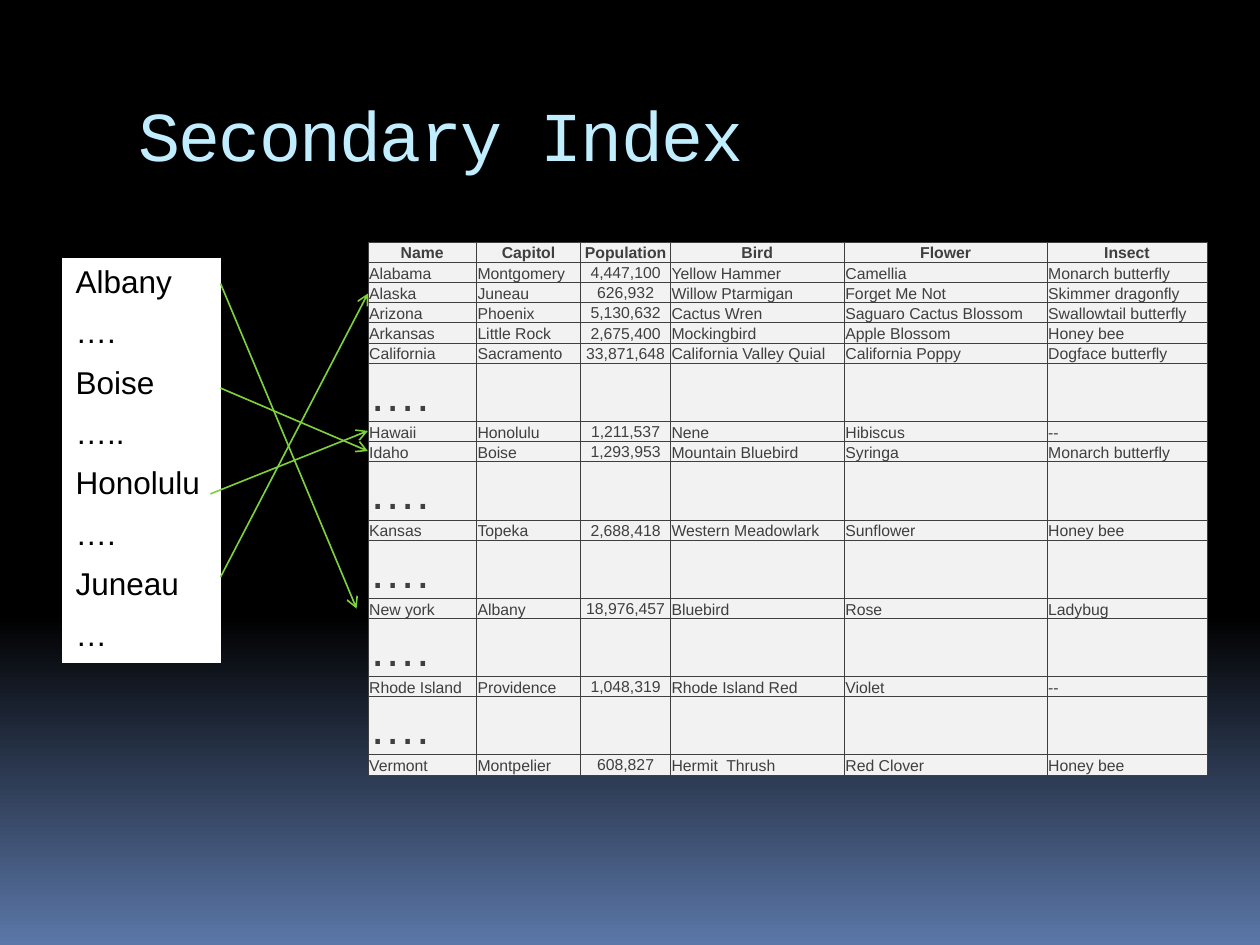
from copy import deepcopy

from lxml.etree import SubElement
from pptx import Presentation
from pptx.dml.color import RGBColor
from pptx.enum.shapes import MSO_CONNECTOR
from pptx.enum.text import MSO_ANCHOR, PP_ALIGN
from pptx.oxml.ns import qn
from pptx.util import Inches, Pt

COLORS = {
    "black": "000000",
    "blue": "5B77A8",
    "title": "C1EEFF",
    "white": "FFFFFF",
    "cell": "F2F2F2",
    "ink": "3F3F3F",
    "green": "7FD13B",
}


def color(name):
    return RGBColor.from_string(COLORS[name])


def add_text(paragraph, text, size, color_name, font="Arial", bold=False):
    run = paragraph.add_run()
    run.text = text
    run.font.name = font
    run.font.size = Pt(size)
    run.font.bold = bold
    run.font.color.rgb = color(color_name)
    return run


presentation = Presentation()
presentation.slide_width = Inches(10)
presentation.slide_height = Inches(7.5)
slide = presentation.slides.add_slide(presentation.slide_layouts[6])

background = slide.background.fill
background.gradient()
background.gradient_angle = 270
stop_list = background._fill._gradFill.find(qn("a:gsLst"))
stop_list.insert(0, deepcopy(stop_list[0]))
stops = [(0, "black"), (0.65, "black"), (1, "blue")]
for stop, (position, name) in zip(background.gradient_stops, stops):
    stop.position = position
    stop.color.rgb = color(name)

title = slide.shapes.add_textbox(Inches(1), Inches(0.56), Inches(8.5), Inches(1))
title.text_frame.word_wrap = True
title.text_frame.vertical_anchor = MSO_ANCHOR.MIDDLE
title_run = add_text(title.text_frame.paragraphs[0], "Secondary Index", 40, "title", "Courier New")
title_run.font._element.set("spc", "-100")

index_entries = ["Albany", "….", "Boise", "…..", "Honolulu", "….", "Juneau", "…"]
index_table = slide.shapes.add_table(
    len(index_entries), 1, Inches(0.5), Inches(2.05), Inches(1.25), Inches(0.29 * len(index_entries))
).table
index_table.first_row = False
index_table.horz_banding = False
for row, entry in enumerate(index_entries):
    cell = index_table.cell(row, 0)
    cell.fill.solid()
    cell.fill.fore_color.rgb = color("white")
    add_text(cell.text_frame.paragraphs[0], entry, 18, "black")

gap = ["…."]
states = [
    ["Name", "Capitol", "Population", "Bird", "Flower", "Insect"],
    ["Alabama", "Montgomery", "4,447,100", "Yellow Hammer", "Camellia", "Monarch butterfly"],
    ["Alaska", "Juneau", "626,932", "Willow Ptarmigan", "Forget Me Not", "Skimmer dragonfly"],
    ["Arizona", "Phoenix", "5,130,632", "Cactus Wren", "Saguaro Cactus Blossom", "Swallowtail butterfly"],
    ["Arkansas", "Little Rock", "2,675,400", "Mockingbird", "Apple Blossom", "Honey bee"],
    ["California", "Sacramento", "33,871,648", "California Valley Quial", "California Poppy", "Dogface butterfly"],
    gap,
    ["Hawaii", "Honolulu", "1,211,537", "Nene", "Hibiscus", "--"],
    ["Idaho", "Boise", "1,293,953", "Mountain Bluebird", "Syringa", "Monarch butterfly"],
    gap,
    ["Kansas", "Topeka", "2,688,418", "Western Meadowlark", "Sunflower", "Honey bee"],
    gap,
    ["New york", "Albany", "18,976,457", "Bluebird", "Rose", "Ladybug"],
    gap,
    ["Rhode Island", "Providence", "1,048,319", "Rhode Island Red", "Violet", "--"],
    gap,
    ["Vermont", "Montpelier", "608,827", "Hermit  Thrush", "Red Clover", "Honey bee"],
]
column_widths = [0.86, 0.83, 0.71, 1.38, 1.61, 1.27]
population_column = 2
state_table = slide.shapes.add_table(
    len(states), len(column_widths), Inches(2.92), Inches(1.92), Inches(6.67), Inches(4.22)
).table
state_table.first_row = False
state_table.horz_banding = False
for column, width in zip(state_table.columns, column_widths):
    column.width = Inches(width)

for row, values in enumerate(states):
    is_gap = values is gap
    state_table.rows[row].height = Inches(0.45 if is_gap else 0.16)
    for column in range(len(column_widths)):
        cell = state_table.cell(row, column)
        properties = cell._tc.get_or_add_tcPr()
        for side in ("a:lnL", "a:lnR", "a:lnT", "a:lnB"):
            border = SubElement(properties, qn(side), w=str(Pt(0.5)))
            border_fill = SubElement(border, qn("a:solidFill"))
            SubElement(border_fill, qn("a:srgbClr"), val=COLORS["ink"])
        cell.fill.solid()
        cell.fill.fore_color.rgb = color("cell")
        if column >= len(values):
            continue
        cell.margin_left = cell.margin_right = cell.margin_top = Inches(0.01)
        cell.margin_bottom = 0
        is_population = column == population_column
        cell.vertical_anchor = MSO_ANCHOR.MIDDLE if is_population else MSO_ANCHOR.BOTTOM
        paragraph = cell.text_frame.paragraphs[0]
        if row == 0 or is_population:
            paragraph.alignment = PP_ALIGN.CENTER
        add_text(paragraph, values[column], 27 if is_gap else 9, "ink", bold=row == 0)

arrows = [
    (1.75, 2.25, 2.83, 4.83),
    (1.75, 3.08, 2.92, 3.58),
    (1.67, 3.92, 2.92, 3.42),
    (1.75, 4.58, 2.92, 2.33),
]
for ends in arrows:
    arrow = slide.shapes.add_connector(MSO_CONNECTOR.STRAIGHT, *[Inches(value) for value in ends])
    arrow.line.color.rgb = color("green")
    arrow.line.width = Pt(0.94)
    SubElement(arrow.line._get_or_add_ln(), qn("a:tailEnd"), type="arrow")
    SubElement(arrow._element.spPr, qn("a:effectLst"))

presentation.save("out.pptx")
